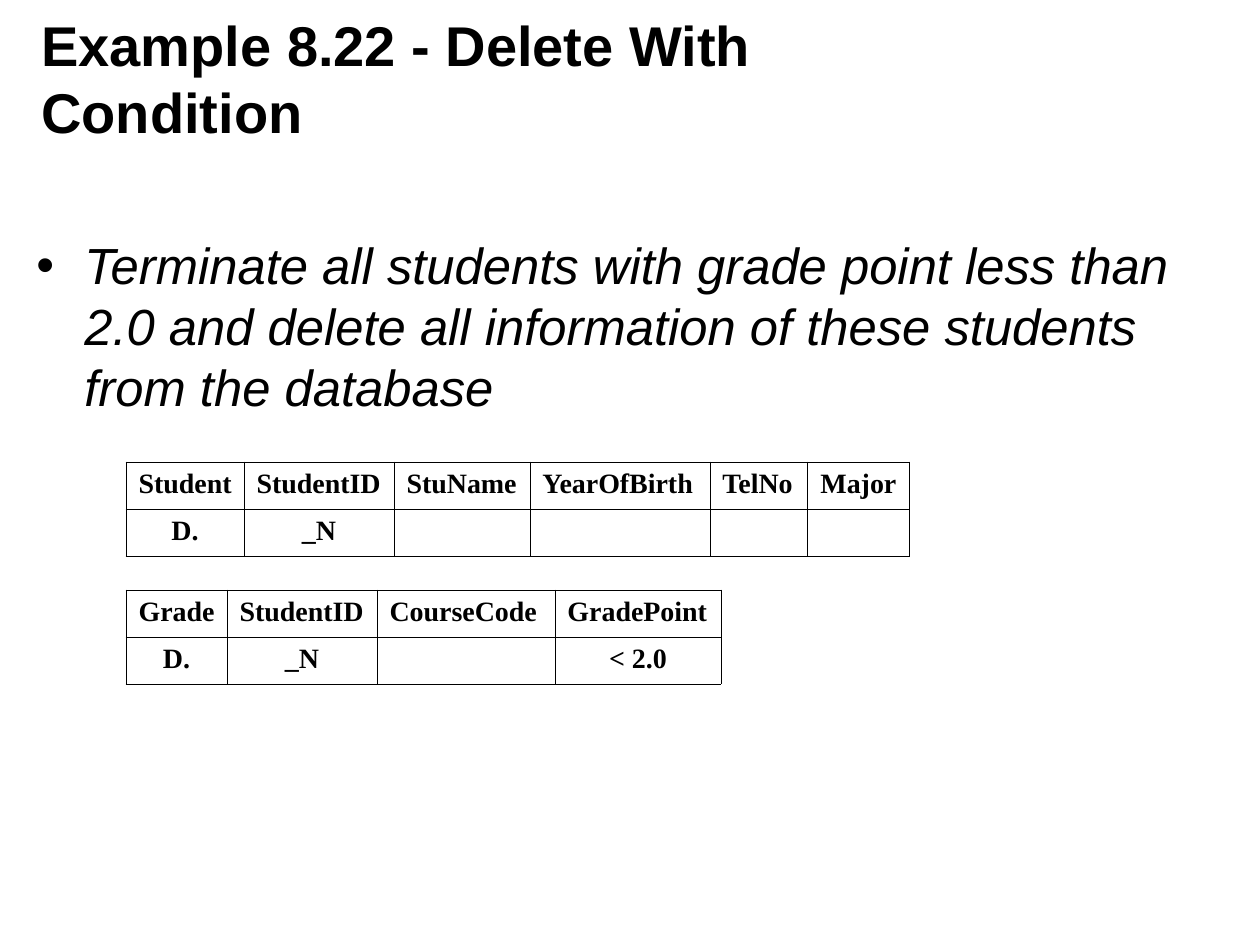
from pptx import Presentation
from pptx.dml.color import RGBColor
from pptx.enum.text import MSO_ANCHOR as Anchor, PP_ALIGN as Align
from pptx.oxml.ns import qn
from pptx.util import Pt
from lxml.etree import SubElement as Sub

PX = 914400 // 126
BLACK = RGBColor(0, 0, 0)
WHITE = RGBColor(255, 255, 255)


class Deck:
    """Hold the style and the current slide."""

    def __init__(self):
        self.prs = Presentation()
        self.prs.slide_width, self.prs.slide_height = 1260 * PX, 945 * PX
        self.slide = self.prs.slides.add_slide(self.prs.slide_layouts[6])
        self.slide.background.fill.solid()
        self.slide.background.fill.fore_color.rgb = WHITE

    def style(self, par, size, face, bold=False, italic=False):
        for run in par.runs:
            font = run.font
            font.size, font.name = Pt(size), face
            font.bold, font.italic = bold, italic
            font.color.rgb = BLACK

    def text(self, box, words, size, anchor=Anchor.TOP, right=13, **look):
        frame = self.slide.shapes.add_textbox(*(n * PX for n in box)).text_frame
        frame.word_wrap = True
        frame.vertical_anchor = anchor
        frame.margin_right = right * PX
        frame.text = words
        par = frame.paragraphs[0]
        self.style(par, size, "Arial", **look)
        return par

    def bullet(self, par, indent):
        props = par._p.get_or_add_pPr()
        props.set("marL", str(indent * PX))
        props.set("indent", str(-indent * PX))
        Sub(props, qn("a:buFont"), typeface="Arial")
        Sub(props, qn("a:buChar"), char="•")

    def border(self, cell):
        props = cell._tc.get_or_add_tcPr()
        for at, side in enumerate(("lnL", "lnR", "lnT", "lnB")):
            line = props.makeelement(qn(f"a:{side}"), {"w": str(Pt(0.45))})
            fill = Sub(line, qn("a:solidFill"))
            Sub(fill, qn("a:srgbClr"), val=str(BLACK))
            props.insert(at, line)

    def table(self, left, top, widths, rows, high=47):
        shape = self.slide.shapes.add_table(
            len(rows), len(widths), left * PX, top * PX,
            sum(widths) * PX, high * len(rows) * PX)
        grid = shape.table
        for col, wide in zip(grid.columns, widths):
            col.width = wide * PX
        for r, row in enumerate(rows):
            grid.rows[r].height = high * PX
            for c, words in enumerate(row):
                self.cell(grid.cell(r, c), words, Align.CENTER if r else Align.JUSTIFY)

    def cell(self, cell, words, align):
        cell.fill.background()
        self.border(cell)
        if not words:
            cell.margin_top = cell.margin_bottom = 0
            return
        if align == Align.JUSTIFY:
            cell.margin_right = 4 * PX
        cell.text = words
        par = cell.text_frame.paragraphs[0]
        par.alignment = align
        self.style(par, 16, "Times New Roman", bold=True)


def main():
    deck = Deck()
    deck.text((29, 19, 1012, 117), "Example 8.22 - Delete With Condition", 32,
              Anchor.MIDDLE, right=25, bold=True)
    goal = deck.text(
        (24, 228, 1211, 607),
        "Terminate all students with grade point less than 2.0 and delete all "
        "information of these students from the database", 29, italic=True)
    deck.bullet(goal, 48)
    deck.table(126, 462, (118, 150, 136, 180, 98, 102), (
        ("Student", "StudentID", "StuName", "YearOfBirth", "TelNo", "Major"),
        ("D.", "_N", "", "", "", "")))
    deck.table(126, 590, (101, 150, 178, 166), (
        ("Grade", "StudentID", "CourseCode", "GradePoint"),
        ("D.", "_N", "", "< 2.0")))
    deck.prs.save("out.pptx")


if __name__ == "__main__":
    main()
